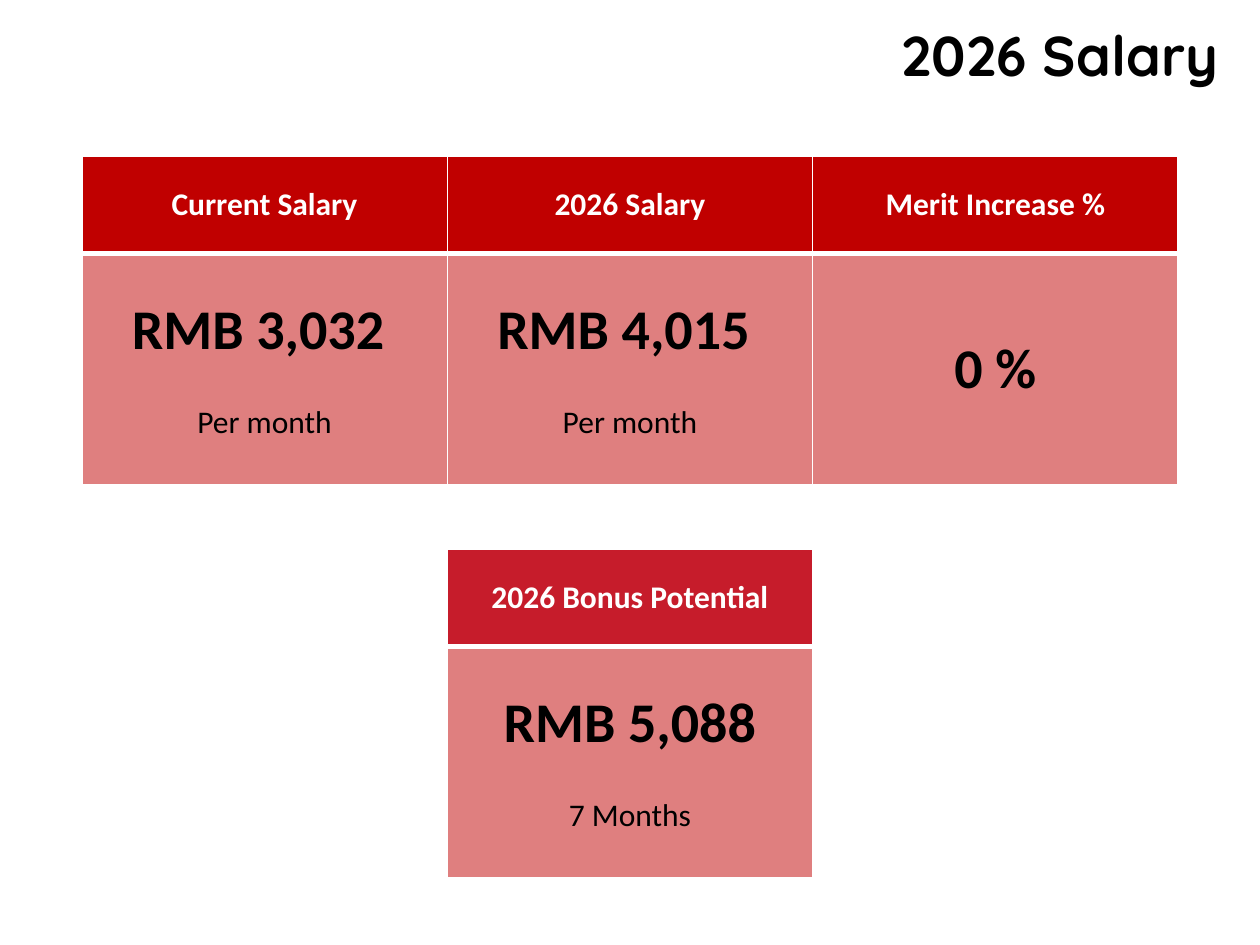
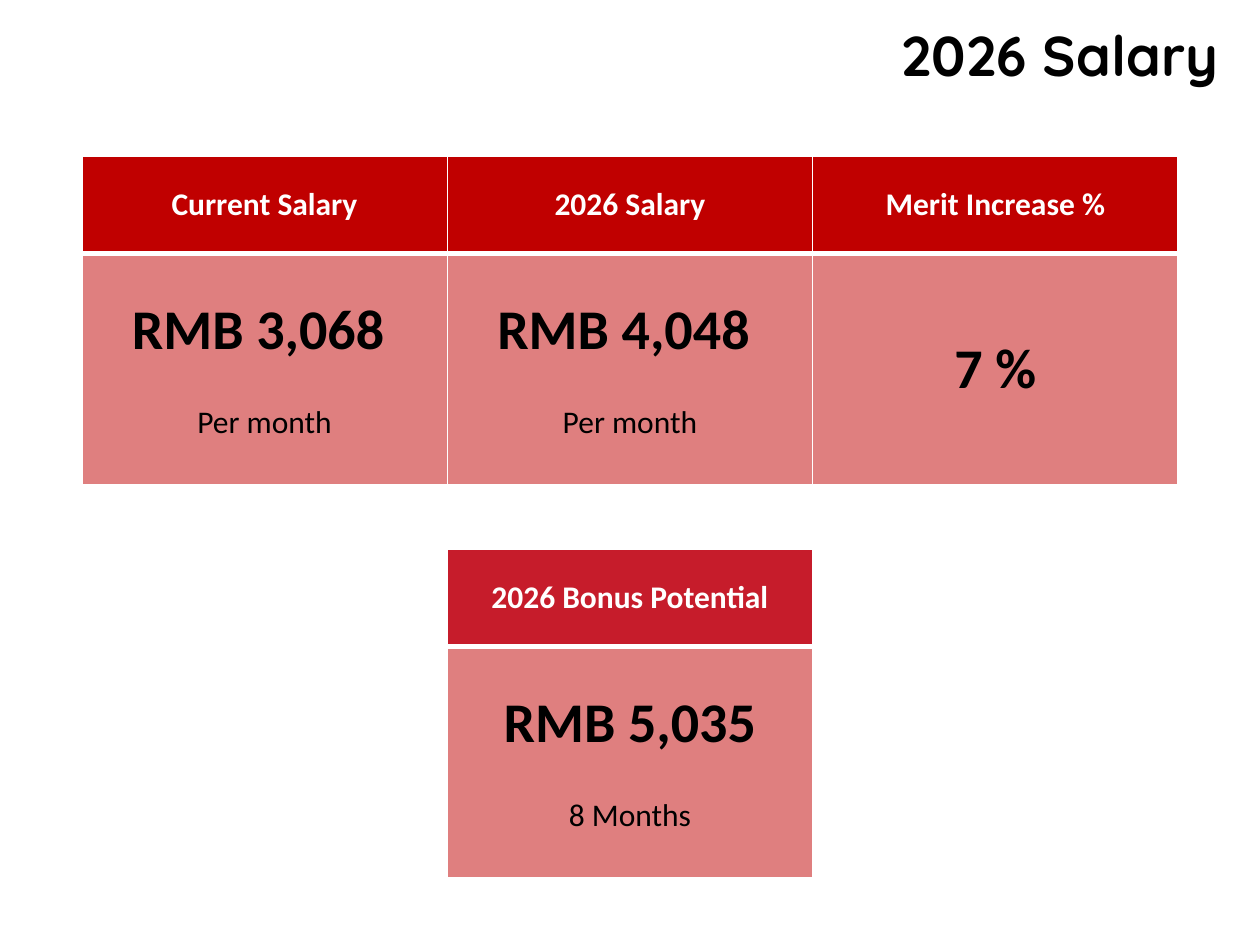
from lxml import etree
from pptx import Presentation
from pptx.dml.color import RGBColor
from pptx.enum import text
from pptx.oxml import ns
from pptx.util import Pt

# Content: one dict per slide; each card is (value, caption)
TITLE = "2026 Salary"
SALARIES = [
    {"current": ("RMB 3,032 ", "Per month"), "bonus": ("RMB 5,088", "7 Months"),
     "next": ("RMB 4,015 ", "Per month"), "merit": ("0 %",)},
    {"current": ("RMB 3,068 ", "Per month"), "bonus": ("RMB 5,035", "8 Months"),
     "next": ("RMB 4,048 ", "Per month"), "merit": ("7 %",)},
]

# Shared look
COLORS = {"red": "C00000", "crimson": "C61C2B", "rose": "DF7F7F",
          "white": "FFFFFF", "black": "000000"}
TITLE_FONT, BODY_FONT = "Quicksand", "Calibri"
LARGE, SMALL = 32, 18
CAPTION_GAP = 22

# Card grid
GRID_LEFT, GRID_TOP = 46.8, 89.28
CARD_WIDTH, ROW_HEIGHTS = 208.8, (55.44, 132.48)
ROW_STEP = 224.64

# Card styles: heading, grid column, grid row, header colour, body colour, body opacity
CARDS = {
    "current": ("Current Salary", 0, 0, "red", "red", 50),
    "bonus": ("2026 Bonus Potential", 1, 1, "crimson", "rose", 100),
    "next": ("2026 Salary", 1, 0, "red", "red", 50),
    "merit": ("Merit Increase %", 2, 0, "red", "red", 50),
}


def style_paragraph(paragraph, alignment, font_name, size, color, bold):
    paragraph.alignment = alignment
    for run in paragraph.runs:
        run.font.name = font_name
        run.font.size = Pt(size)
        run.font.bold = bold
        run.font.color.rgb = RGBColor.from_string(COLORS[color])


def fill_cell(cell, color, opacity=100):
    cell.fill.solid()
    cell.fill.fore_color.rgb = RGBColor.from_string(COLORS[color])
    if opacity < 100:
        rgb = cell._tc.tcPr.find(".//" + ns.qn("a:srgbClr"))
        etree.SubElement(rgb, ns.qn("a:alpha"), val=str(opacity * 1000))


def add_borders(cell, **widths):
    """Draw white borders; L, R, T and B are 1 pt unless given."""
    properties = cell._tc.get_or_add_tcPr()
    for position, side in enumerate("LRTB"):
        line = etree.Element(ns.qn("a:ln" + side), w=str(Pt(widths.get(side, 1))))
        solid = etree.SubElement(line, ns.qn("a:solidFill"))
        etree.SubElement(solid, ns.qn("a:srgbClr"), val=COLORS["white"])
        properties.insert(position, line)


def add_title(slide):
    box = slide.shapes.add_textbox(Pt(252.72), Pt(7.92), Pt(450.72), Pt(79.92))
    box.text_frame.word_wrap = True
    box.text_frame.text = TITLE
    style_paragraph(box.text_frame.paragraphs[0], text.PP_ALIGN.RIGHT,
                    TITLE_FONT, LARGE, "black", True)


def add_card(slide, style, content):
    heading, column, row, header_color, body_color, opacity = style
    frame = slide.shapes.add_table(
        2, 1, Pt(GRID_LEFT + column * CARD_WIDTH), Pt(GRID_TOP + row * ROW_STEP),
        Pt(CARD_WIDTH), Pt(sum(ROW_HEIGHTS)))
    table = frame.table
    table.horz_banding = False
    for table_row, height in zip(table.rows, ROW_HEIGHTS):
        table_row.height = Pt(height)
    header, body = table.cell(0, 0), table.cell(1, 0)
    header.vertical_anchor = body.vertical_anchor = text.MSO_ANCHOR.MIDDLE

    # Heading
    header.text_frame.text = heading
    style_paragraph(header.text_frame.paragraphs[0], text.PP_ALIGN.CENTER,
                    BODY_FONT, SMALL, "white", True)
    fill_cell(header, header_color)
    add_borders(header, B=3)

    # Value and optional caption
    body.text_frame.text = "\n".join(content)
    value, *captions = body.text_frame.paragraphs
    style_paragraph(value, text.PP_ALIGN.CENTER, BODY_FONT, LARGE, "black", True)
    for caption in captions:
        caption.space_before = Pt(CAPTION_GAP)
        style_paragraph(caption, text.PP_ALIGN.CENTER, BODY_FONT, SMALL, "black", False)
    fill_cell(body, body_color, opacity)
    add_borders(body, T=3)


def main():
    presentation = Presentation()
    presentation.slide_width, presentation.slide_height = Pt(720), Pt(540)
    for salary in SALARIES:
        slide = presentation.slides.add_slide(presentation.slide_layouts[6])
        add_title(slide)
        for name, content in salary.items():
            add_card(slide, CARDS[name], content)
    presentation.save("out.pptx")


if __name__ == "__main__":
    main()
